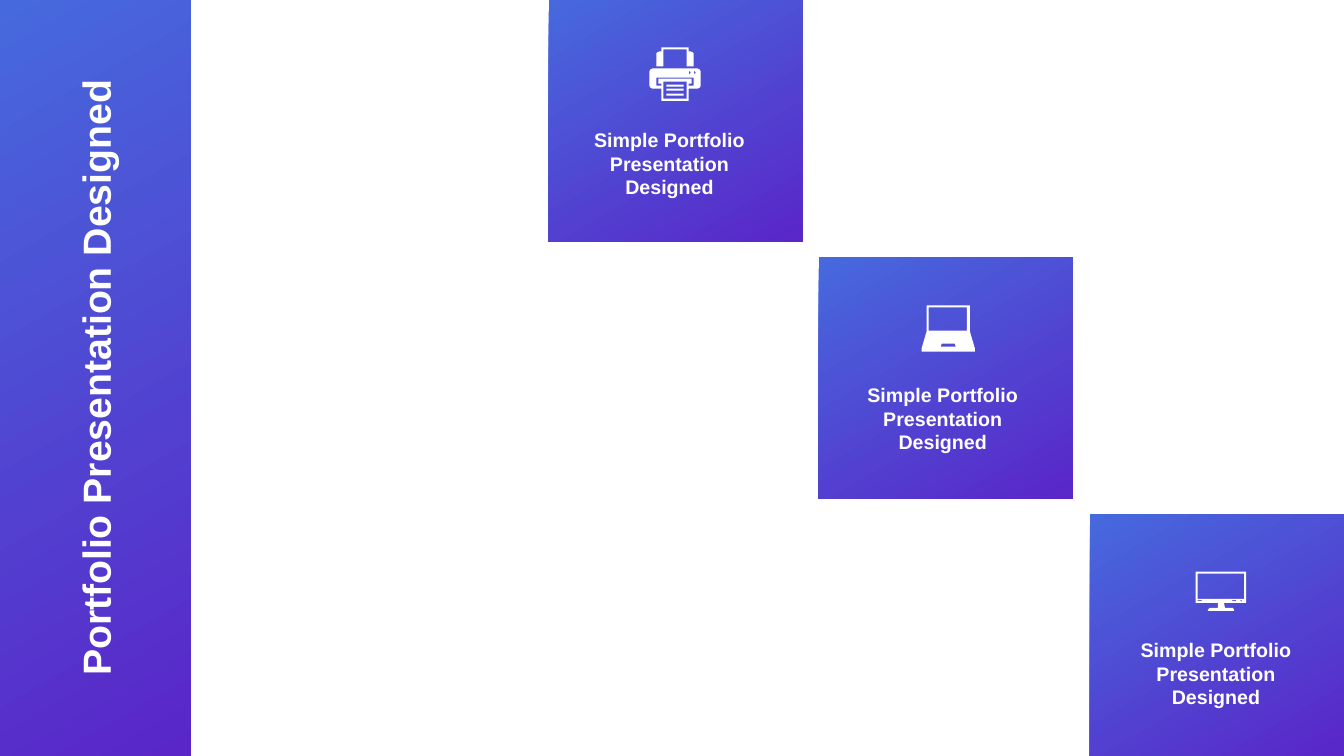
from pptx import Presentation
from pptx.dml.color import RGBColor
from pptx.enum.shapes import MSO_SHAPE as Preset
from pptx.enum.text import MSO_ANCHOR as Anchor, MSO_AUTO_SIZE as AutoSize, PP_ALIGN as Align
from pptx.util import Pt

PX = 9144
BLUE = RGBColor(0x46, 0x69, 0xDD)
PURPLE = RGBColor(0x5A, 0x26, 0xC8)
WHITE = RGBColor(0xFF, 0xFF, 0xFF)

presentation = Presentation()
presentation.slide_width = 1333 * PX
presentation.slide_height = 750 * PX
slide = presentation.slides.add_slide(presentation.slide_layouts[6])


def box(left, top, right, bottom):
    return [(left, top), (right, top), (right, bottom), (left, bottom)]


def add_text(text, left, top, width, height, size):
    shape = slide.shapes.add_textbox(left * PX, top * PX, width * PX, height * PX)
    frame = shape.text_frame
    frame.word_wrap = True
    frame.text = text
    paragraph = frame.paragraphs[0]
    paragraph.alignment = Align.CENTER
    font = paragraph.runs[0].font
    font.name = "Arial"
    font.size = Pt(size)
    font.bold = True
    font.color.rgb = WHITE
    return shape


panels = [(0, 0, 189, 750), (544, 0, 252, 240), (812, 255, 252, 240), (1081, 510, 252, 240)]
for left, top, width, height in panels:
    panel = slide.shapes.add_shape(Preset.RECTANGLE, left * PX, top * PX, width * PX, height * PX)
    panel.shadow.inherit = False
    panel.line.fill.background()
    panel.fill.gradient()
    panel.fill.gradient_angle = 300
    for stop, color in zip(panel.fill.gradient_stops, (BLUE, PURPLE)):
        stop.color.rgb = color

title = add_text("Portfolio Presentation Designed", -262, 350, 713, 50, 28)
title.rotation = 270
title.text_frame.vertical_anchor = Anchor.MIDDLE

for index in range(3):
    label = add_text("Simple Portfolio Presentation Designed", 581 + 271 * index, 122 + 253 * index, 176, 81, 14)
    label.text_frame.margin_left = 0
    label.text_frame.auto_size = AutoSize.SHAPE_TO_FIT_TEXT

printer = [
    *[box(661, top, 678, top + 2) for top in (84, 88, 93)],
    box(658, 81, 681, 98),
    [(651, 77), (651, 85), (656, 85), (656, 83), (653, 83), (653, 78),
     (686, 78), (686, 83), (683, 83), (683, 85), (688, 85), (688, 77)],
    *[[(x, 70), (x - 1, 72), (x, 74), (x + 1, 72)] for x in (684, 689)],
    [(647, 68), (692, 68), (694, 69), (695, 71), (695, 85), (694, 87), (692, 88), (683, 88), (683, 100),
     (656, 100), (656, 88), (647, 88), (645, 87), (644, 85), (644, 71), (645, 69)],
    [(656, 47), (683, 47), (683, 51), (685, 51), (687, 52), (688, 53), (688, 66), (681, 66), (681, 49),
     (658, 49), (658, 66), (651, 66), (651, 53), (652, 52), (654, 51), (656, 51)],
]
laptop = [
    [(934, 341), (933, 344), (948, 344), (947, 341)],
    box(921, 305, 959, 328),
    [(919, 303), (962, 303), (962, 329), (967, 346), (967, 349), (914, 349), (914, 346), (919, 329)],
]
monitor = [
    *[box(left, 595, left + 4, 596) for left in (1188, 1222)],
    [(1231, 595), (1230, 596), (1231, 597), (1232, 596)],
    box(1188, 569, 1234, 594),
    [(1186, 567), (1236, 567), (1236, 598), (1214, 598), (1215, 603), (1223, 603), (1224, 605), (1224, 606),
     (1198, 606), (1198, 605), (1200, 603), (1208, 603), (1208, 598), (1186, 598)],
]
for contours in (printer, laptop, monitor):
    builder = slide.shapes.build_freeform(*contours[0][0], scale=PX)
    for contour in contours:
        builder.move_to(*contour[0])
        builder.add_line_segments(contour[1:], close=True)
    icon = builder.convert_to_shape()
    icon.shadow.inherit = False
    icon.fill.solid()
    icon.fill.fore_color.rgb = WHITE
    icon.line.fill.background()

presentation.save("out.pptx")
